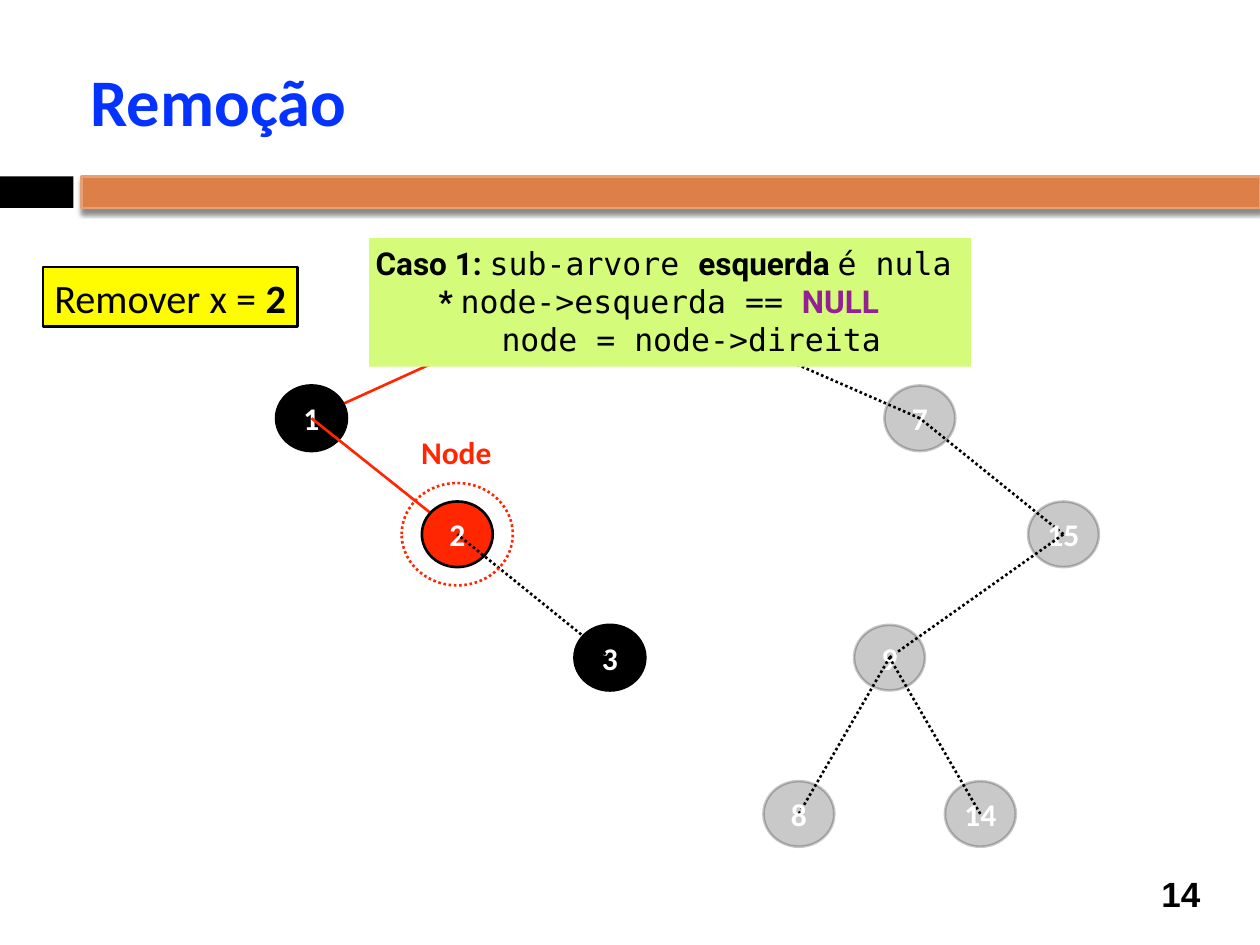
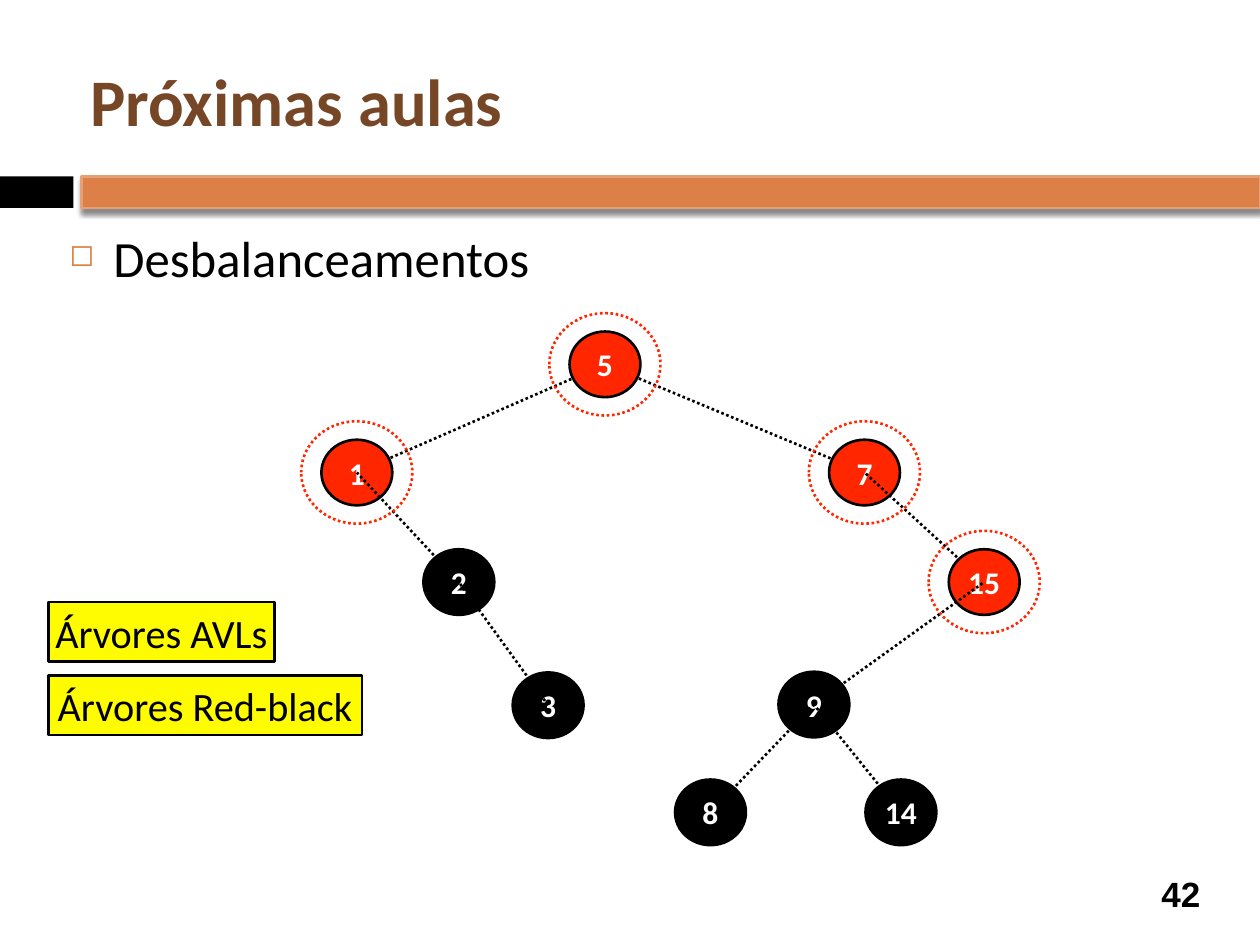
"""Builds two slides on removal and imbalance in binary search trees."""
from dataclasses import dataclass

from lxml import etree
from pptx import Presentation
from pptx.dml.color import RGBColor
from pptx.enum import dml, shapes, text
from pptx.oxml.ns import qn
from pptx.util import Pt


@dataclass(frozen=True)
class Theme:
    """Colours, fonts and sizes shared by the slides."""
    black: str = "000000"
    white: str = "FFFFFF"
    red: str = "FF2600"
    blue: str = "0433FF"
    brown: str = "754726"
    orange: str = "DD8047"
    orange_edge: str = "E5A075"
    yellow: str = "FFFB00"
    green: str = "D4FB79"
    purple: str = "942192"
    sans: str = "Calibri"
    code: str = "DejaVu Sans Mono"
    strong: str = "Roboto"
    number: str = "Arial"
    title_size: float = 38
    body_size: float = 29
    label_size: float = 23
    number_size: float = 20
    node_size: float = 18
    line_width: float = 1.5
    inset: float = 3.6
    faded_alpha: int = 21


THEME = Theme()
NODE = (40.5, 37.5)
RING = (63.5, 58.5)


@dataclass(frozen=True)
class Node:
    """A tree node with its centre, parent and look."""
    key: int
    x: float
    y: float
    parent: int = 0
    fill: str = THEME.black
    faded: bool = False
    ringed: bool = False
    hidden: bool = False
    path_color: str = ""
    edge_above: bool = False


def rgb(color):
    """Return a colour object for a hex string."""
    return RGBColor.from_string(color)


def add_run(paragraph, words, size, color=THEME.black, font=THEME.sans, bold=False):
    """Append one formatted run."""
    run = paragraph.add_run()
    run.text = words
    run.font.size = Pt(size)
    run.font.name = font
    run.font.bold = bold
    run.font.color.rgb = rgb(color)


def set_frame(frame, anchor=text.MSO_ANCHOR.TOP, wrap=True, grow=False):
    """Set the insets, anchor and fit of a text frame."""
    frame.margin_left = frame.margin_right = Pt(THEME.inset)
    frame.margin_top = frame.margin_bottom = Pt(THEME.inset)
    frame.vertical_anchor = anchor
    frame.word_wrap = wrap
    fit = text.MSO_AUTO_SIZE
    frame.auto_size = fit.SHAPE_TO_FIT_TEXT if grow else fit.NONE
    return frame


def add_text(slide, box, **options):
    """Add a text box and return its frame."""
    return set_frame(slide.shapes.add_textbox(*map(Pt, box)).text_frame, **options)


def style_line(line, color, dotted=False):
    """Apply the common line width with a colour and dash."""
    line.color.rgb = rgb(color)
    line.width = Pt(THEME.line_width)
    if dotted:
        line.dash_style = dml.MSO_LINE.ROUND_DOT


def add_figure(slide, kind, box, fill=None, outline=None, dotted=False):
    """Add a flat preset shape."""
    figure = slide.shapes.add_shape(kind, *map(Pt, box))
    figure.shadow.inherit = False
    if fill:
        figure.fill.solid()
        figure.fill.fore_color.rgb = rgb(fill)
    else:
        figure.fill.background()
    if outline:
        style_line(figure.line, outline, dotted)
    else:
        figure.line.fill.background()
    return figure


def add_rect(slide, box, fill, outline=None):
    """Add a rectangle."""
    return add_figure(slide, shapes.MSO_SHAPE.RECTANGLE, box, fill, outline)


def add_oval(slide, node, size, **look):
    """Add an ellipse centred on a node."""
    width, height = size
    box = (node.x - width / 2, node.y - height / 2, width, height)
    return add_figure(slide, shapes.MSO_SHAPE.OVAL, box, **look)


def set_alpha(element, percent):
    """Make every colour inside an element translucent."""
    for color in list(element.iter(qn("a:srgbClr"))):
        etree.SubElement(color, qn("a:alpha"), val=str(percent * 1000))


def add_bands(slide):
    """Draw the black and orange bands under the title."""
    add_rect(slide, (0, 100.8, 42, 18), THEME.black)
    band = add_rect(slide, (46.5, 100.8, 673.5, 18), THEME.orange, THEME.orange_edge)
    effects = band._element.spPr.find(qn("a:effectLst"))
    shadow = etree.SubElement(effects, qn("a:outerShdw"), blurRad=str(Pt(3)),
                              dist=str(Pt(2.4)), dir="5400000", rotWithShape="0")
    etree.SubElement(shadow, qn("a:srgbClr"), val=THEME.black)
    set_alpha(shadow, 45)


def add_base(deck, heading, color, number):
    """Add a slide with its bands, title and number."""
    slide = deck.slides.add_slide(deck.slide_layouts.get_by_name("Title Only"))
    add_bands(slide)
    title = slide.shapes.title
    title.left, title.top, title.width, title.height = map(Pt, (48, 18, 642, 78))
    frame = set_frame(title.text_frame, anchor=text.MSO_ANCHOR.MIDDLE)
    frame.paragraphs[0].alignment = text.PP_ALIGN.LEFT
    add_run(frame.paragraphs[0], heading, THEME.title_size, color, bold=True)
    footer = add_text(slide, (654, 496, 41.5, 29.5), anchor=text.MSO_ANCHOR.MIDDLE)
    footer.paragraphs[0].alignment = text.PP_ALIGN.CENTER
    add_run(footer.paragraphs[0], str(number), THEME.number_size,
            font=THEME.number, bold=True)
    return slide


def add_edge(slide, child, parent):
    """Draw the line from a child's centre to its parent's."""
    edge = slide.shapes.add_connector(shapes.MSO_CONNECTOR.STRAIGHT,
                                      *map(Pt, (child.x, child.y, parent.x, parent.y)))
    style_line(edge.line, child.path_color or THEME.black, not child.path_color)
    etree.SubElement(edge._element.spPr, qn("a:effectLst"))


def add_node(slide, node):
    """Draw a node with its key."""
    oval = add_oval(slide, node, NODE, fill=node.fill, outline=THEME.black)
    if node.faded:
        set_alpha(oval._element.spPr, THEME.faded_alpha)
    frame = set_frame(oval.text_frame, anchor=text.MSO_ANCHOR.MIDDLE)
    frame.paragraphs[0].alignment = text.PP_ALIGN.CENTER
    add_run(frame.paragraphs[0], str(node.key), THEME.node_size, THEME.white, bold=True)


def add_tree(slide, nodes):
    """Draw nodes in order, each with the edge to its parent, then the rings."""
    by_key = {node.key: node for node in nodes}
    for node in nodes:
        parent = by_key.get(node.parent)
        if parent and not node.edge_above:
            add_edge(slide, node, parent)
        if not node.hidden:
            add_node(slide, node)
        if parent and node.edge_above:
            add_edge(slide, node, parent)
    for node in nodes:
        if node.ringed:
            add_oval(slide, node, RING, outline=THEME.red, dotted=True)


def add_label(slide, box, *runs):
    """Add a yellow label from (words, bold) runs."""
    label = add_rect(slide, box, THEME.yellow, THEME.black)
    frame = set_frame(label.text_frame, wrap=False, grow=True)
    frame.paragraphs[0].alignment = text.PP_ALIGN.CENTER
    for words, bold in runs:
        add_run(frame.paragraphs[0], words, THEME.label_size, bold=bold)


def add_case(slide, box, lines):
    """Add the green case box, each line one level deeper."""
    case = add_rect(slide, box, THEME.green)
    frame = set_frame(case.text_frame, grow=True)
    for level, runs in enumerate(lines):
        line = frame.paragraphs[0] if level == 0 else frame.add_paragraph()
        line.alignment = text.PP_ALIGN.LEFT
        line.level = level
        line._p.get_or_add_pPr().set("marL", str(Pt(36 * level)))
        for words, font, color in runs:
            add_run(line, words, THEME.node_size, color, font, font == THEME.strong)


def add_bullet(slide, box, words):
    """Add a line of body text with a small square bullet."""
    paragraph = add_text(slide, box).paragraphs[0]
    paragraph.space_before = Pt(7)
    props = paragraph._p.get_or_add_pPr()
    props.set("marL", str(Pt(25.2)))
    props.set("indent", str(Pt(-25.2)))
    color = etree.SubElement(props, qn("a:buClr"))
    etree.SubElement(color, qn("a:srgbClr"), val=THEME.orange)
    etree.SubElement(props, qn("a:buSzPct"), val="60000")
    etree.SubElement(props, qn("a:buChar"), char="◻")
    add_run(paragraph, words, THEME.body_size)


def build_removal(deck):
    """Build the slide on removing key 2."""
    slide = add_base(deck, "Remoção", THEME.blue, 14)
    add_tree(slide, [
        Node(1, 178, 239, 5, path_color=THEME.red),
        Node(7, 525.6, 239, 5, faded=True),
        Node(5, 348.5, 161.5, hidden=True),
        Node(2, 261.3, 305.3, 1, THEME.red, ringed=True, path_color=THEME.red),
        Node(15, 607.7, 305.3, 7, faded=True),
        Node(9, 508.3, 375.8, 15, faded=True),
        Node(8, 456.5, 465.1, 9, faded=True),
        Node(14, 560.2, 465.1, 9, faded=True),
        Node(3, 348.5, 375.8, 2, edge_above=True),
    ])
    add_label(slide, (24.5, 152.6, 145.5, 34), ("Remover x = ", False), ("2", True))
    add_case(slide, (211, 136, 344, 73.5), [
        [("Caso 1: ", THEME.strong, THEME.black),
         ("sub-arvore ", THEME.code, THEME.black),
         ("esquerda ", THEME.strong, THEME.black),
         ("é nula", THEME.code, THEME.black)],
        [("* ", THEME.strong, THEME.black),
         ("node->esquerda == ", THEME.code, THEME.black),
         ("NULL", THEME.strong, THEME.purple)],
        [("node = node->direita", THEME.code, THEME.black)],
    ])
    pointer = add_text(slide, (237, 244, 48, 26), wrap=False, grow=True)
    add_run(pointer.paragraphs[0], "Node", THEME.node_size, THEME.red, bold=True)


def build_next_classes(deck):
    """Build the slide on unbalanced trees."""
    slide = add_base(deck, "Próximas aulas", THEME.brown, 42)
    add_bullet(slide, (36, 126, 648, 55.5), "Desbalanceamentos")
    add_tree(slide, [
        Node(1, 203.9, 270, 5, THEME.red, ringed=True),
        Node(7, 494, 270, 5, THEME.red, ringed=True),
        Node(5, 345.7, 208.2, fill=THEME.red, ringed=True),
        Node(2, 262.2, 332.6, 1),
        Node(15, 562.4, 332.6, 7, THEME.red, ringed=True),
        Node(9, 465.1, 402.6, 15),
        Node(8, 406, 464.2, 9),
        Node(14, 514.8, 464.2, 9),
        Node(3, 313.2, 403, 2, edge_above=True),
    ])
    add_label(slide, (27.8, 344, 129, 34), ("Árvores AVLs", False))
    add_label(slide, (27.8, 386, 179, 34), ("Árvores Red-black", False))


def main():
    """Build and save the deck."""
    deck = Presentation()
    deck.slide_width, deck.slide_height = Pt(720), Pt(540)
    build_removal(deck)
    build_next_classes(deck)
    deck.save("out.pptx")


if __name__ == "__main__":
    main()
